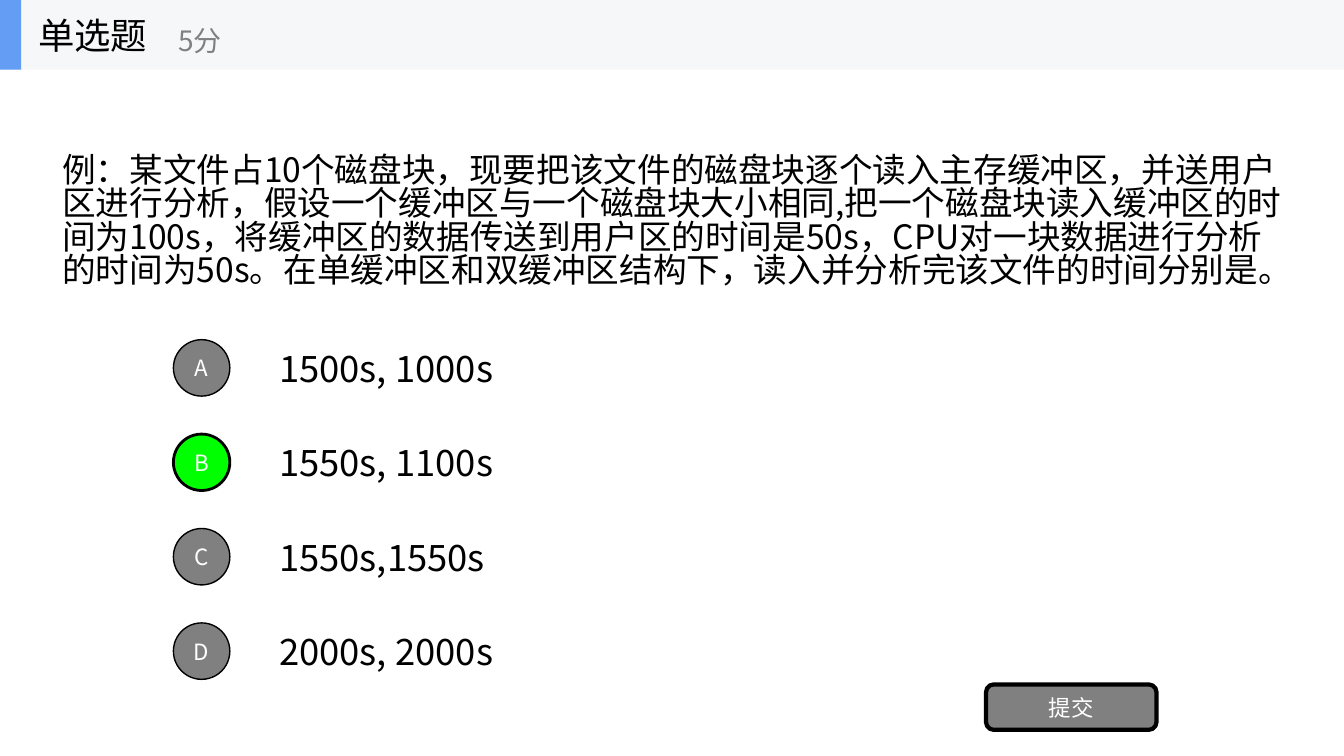
from pptx import Presentation
from pptx.dml.color import RGBColor
from pptx.enum.shapes import MSO_SHAPE as Shape
from pptx.enum.text import MSO_ANCHOR as Anchor, PP_ALIGN as Align
from pptx.oxml.ns import qn
from pptx.util import Inches, Pt
from lxml.etree import SubElement

KIND = "单选题"
SCORE = "5分"
QUESTION = (
    "例：某文件占10个磁盘块，现要把该文件的磁盘块逐个读入主存缓冲区，并送用户区进行分析，"
    "假设一个缓冲区与一个磁盘块大小相同,把一个磁盘块读入缓冲区的时间为100s，"
    "将缓冲区的数据传送到用户区的时间是50s，CPU对一块数据进行分析的时间为50s。"
    "在单缓冲区和双缓冲区结构下，读入并分析完该文件的时间分别是。"
)
OPTIONS = [
    ("A", "1500s, 1000s"),
    ("B", "1550s, 1100s"),
    ("C", "1550s,1550s"),
    ("D", "2000s, 2000s"),
]
ANSWER = "B"
SUBMIT = "提交"

FONT = "Noto Sans CJK SC"
BLACK = RGBColor(0x00, 0x00, 0x00)
WHITE = RGBColor(0xFF, 0xFF, 0xFF)
GRAY = RGBColor(0x80, 0x80, 0x80)
GREEN = RGBColor(0x00, 0xFF, 0x00)
BAND = RGBColor(0xF6, 0xF7, 0xF8)
BLUE = RGBColor(0x63, 0x9E, 0xF4)

FIRST_TOP, LAST_TOP = 3.3, 6.11
OPTION_HEIGHT, MARK_SIZE = 0.7, 0.56
PITCH = (LAST_TOP - FIRST_TOP) / (len(OPTIONS) - 1)


def write(frame, text, size, color, align=Align.LEFT, spacing=None):
    frame.word_wrap = True
    frame.vertical_anchor = Anchor.MIDDLE
    paragraph = frame.paragraphs[0]
    paragraph.text = text
    paragraph.alignment = align
    if spacing:
        paragraph.line_spacing = spacing
    font = paragraph.font
    font.size = Pt(size)
    font.color.rgb = color
    font.name = FONT
    defaults = paragraph._p.pPr.find(qn("a:defRPr"))
    SubElement(defaults, qn("a:ea")).set("typeface", FONT)


def add_text(slide, box, text, size, color=BLACK, spacing=None):
    frame = slide.shapes.add_textbox(*map(Inches, box)).text_frame
    write(frame, text, size, color, spacing=spacing)


def add_block(slide, kind, box, fill, line_width=0, label=None):
    block = slide.shapes.add_shape(kind, *map(Inches, box))
    block.shadow.inherit = False
    block.fill.solid()
    block.fill.fore_color.rgb = fill
    if line_width:
        block.line.color.rgb = BLACK
        block.line.width = Pt(line_width)
    else:
        block.line.fill.background()
    if label:
        frame = block.text_frame
        frame.margin_left = frame.margin_right = 0
        write(frame, label, 16, WHITE, Align.CENTER)


def main():
    deck = Presentation()
    deck.slide_width, deck.slide_height = Inches(13.33), Inches(7.5)
    slide = deck.slides.add_slide(deck.slide_layouts[6])

    add_text(slide, (0.52, 0.55, 12.29, 3.31), QUESTION, 24, spacing=0.83)

    for row, (letter, times) in enumerate(OPTIONS):
        top = FIRST_TOP + row * PITCH
        mark_top = top + (OPTION_HEIGHT - MARK_SIZE) / 2
        fill, line_width = (GREEN, 2) if letter == ANSWER else (GRAY, 1)
        add_text(slide, (2.67, top, 9.33, OPTION_HEIGHT), times, 26)
        add_block(slide, Shape.OVAL, (1.72, mark_top, MARK_SIZE, MARK_SIZE),
                  fill, line_width, letter)

    add_block(slide, Shape.ROUNDED_RECTANGLE, (9.78, 6.79, 1.69, 0.45), GRAY, 3, SUBMIT)

    add_block(slide, Shape.RECTANGLE, (0, 0, 13.33, 0.69), BAND)
    add_block(slide, Shape.RECTANGLE, (0, 0, 0.21, 0.69), BLUE)
    add_text(slide, (0.28, 0, 2.08, 0.69), KIND, 26)
    add_text(slide, (1.67, 0.12, 2.5, 0.56), SCORE, 20, GRAY)

    deck.save("out.pptx")


if __name__ == "__main__":
    main()
